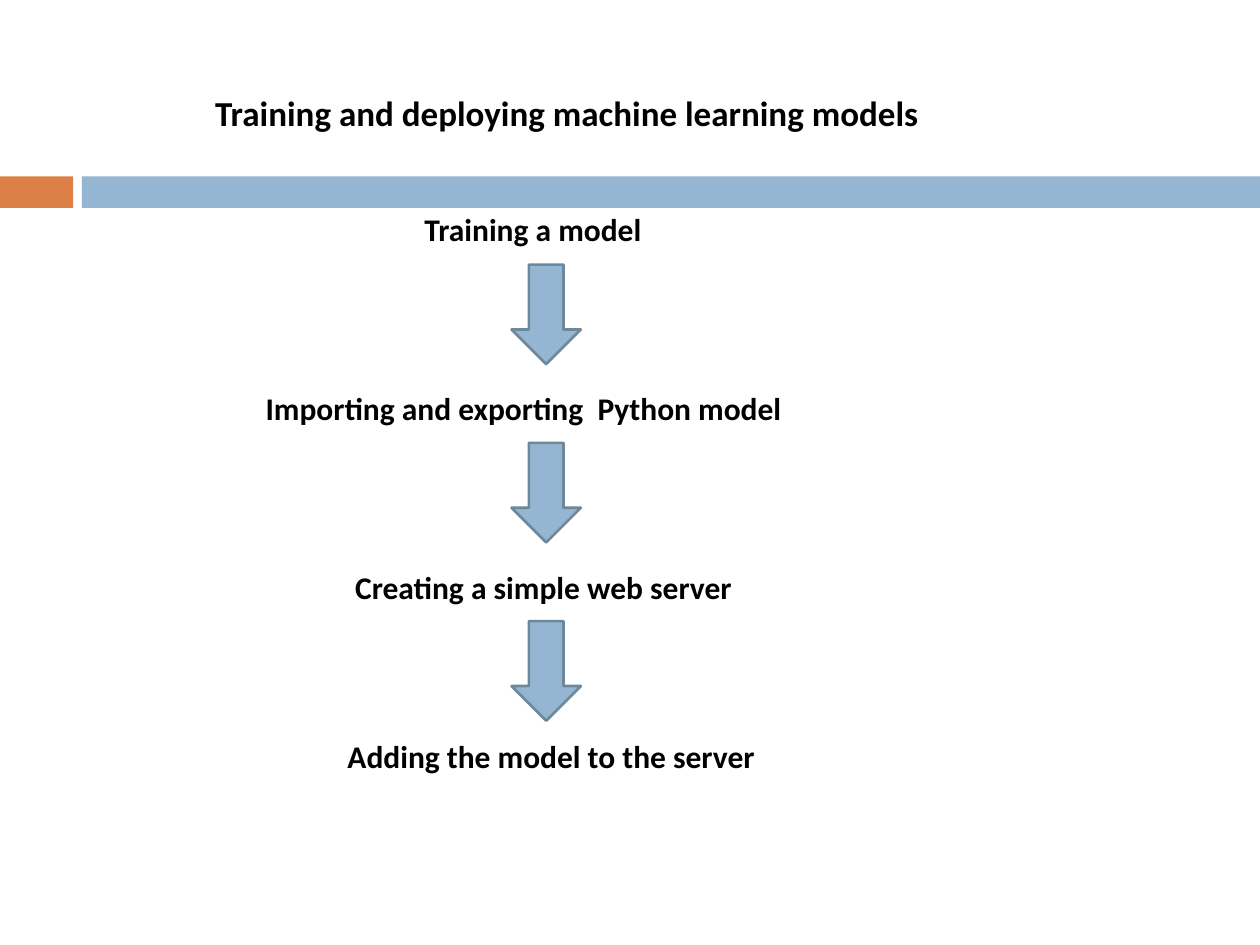
from dataclasses import dataclass

from pptx import Presentation
from pptx.dml.color import RGBColor as RGB
from pptx.enum.shapes import MSO_SHAPE as SHAPE
from pptx.enum.text import MSO_AUTO_SIZE as AUTO
from pptx.util import Inches, Pt


@dataclass(frozen=True)
class Theme:
    """Colours, font and type sizes of the slide."""
    font: str = "Calibri"
    ink: str = "000000"
    accent: str = "DD8047"
    blue: str = "94B6D2"
    outline: str = "6D879B"
    title_size: int = 20
    step_size: int = 18


THEME = Theme()
STEPS = [
    ("Training a model", 3.27, 1.62, 1.98),
    ("Importing and exporting  Python model", 2.01, 3.04, 4.34),
    ("Creating a simple web server", 2.72, 4.46, 3.28),
    ("Adding the model to the server", 2.66, 5.8, 3.44),
]
ARROW_TOP, ARROW_PITCH = 2.1, 1.415


def add_block(s, kind, x, y, w, h, fill, line=None):
    """Add a filled preset shape, outlined when a line colour is given."""
    sp = s.shapes.add_shape(kind, Inches(x), Inches(y), Inches(w), Inches(h))
    sp.shadow.inherit = False
    sp.fill.solid()
    sp.fill.fore_color.rgb = RGB.from_string(fill)
    if line:
        sp.line.color.rgb = RGB.from_string(line)
        sp.line.width = Pt(1.5)
    else:
        sp.line.fill.background()


def add_label(s, text, x, y, w, h, size, wrap=False):
    """Add a bold text box that grows with its text."""
    sp = s.shapes.add_textbox(Inches(x), Inches(y), Inches(w), Inches(h))
    tf = sp.text_frame
    tf.word_wrap = wrap
    tf.auto_size = AUTO.SHAPE_TO_FIT_TEXT
    r = tf.paragraphs[0].add_run()
    r.text = text
    r.font.name = THEME.font
    r.font.size = Pt(size)
    r.font.bold = True
    r.font.color.rgb = RGB.from_string(THEME.ink)


def add_band(s):
    """Add the two-colour band below the title."""
    add_block(s, SHAPE.RECTANGLE, 0, 1.4, 0.58, 0.25, THEME.accent)
    add_block(s, SHAPE.RECTANGLE, 0.65, 1.4, 9.35, 0.25, THEME.blue)


def add_flow(s):
    """Add the steps with a down arrow between each pair."""
    for text, x, y, w in STEPS:
        add_label(s, text, x, y, w, 0.4, THEME.step_size)
    for i in range(len(STEPS) - 1):
        add_block(s, SHAPE.DOWN_ARROW, 4.06, ARROW_TOP + i * ARROW_PITCH,
                  0.55, 0.79, THEME.blue, THEME.outline)


def main():
    """Build the slide and save it."""
    prs = Presentation()
    prs.slide_width, prs.slide_height = Inches(10), Inches(7.5)
    s = prs.slides.add_slide(prs.slide_layouts[6])
    add_band(s)
    add_flow(s)
    add_label(s, "Training and deploying machine learning models ",
              1.61, 0.68, 6.06, 0.44, THEME.title_size, wrap=True)
    prs.save("out.pptx")


if __name__ == "__main__":
    main()
